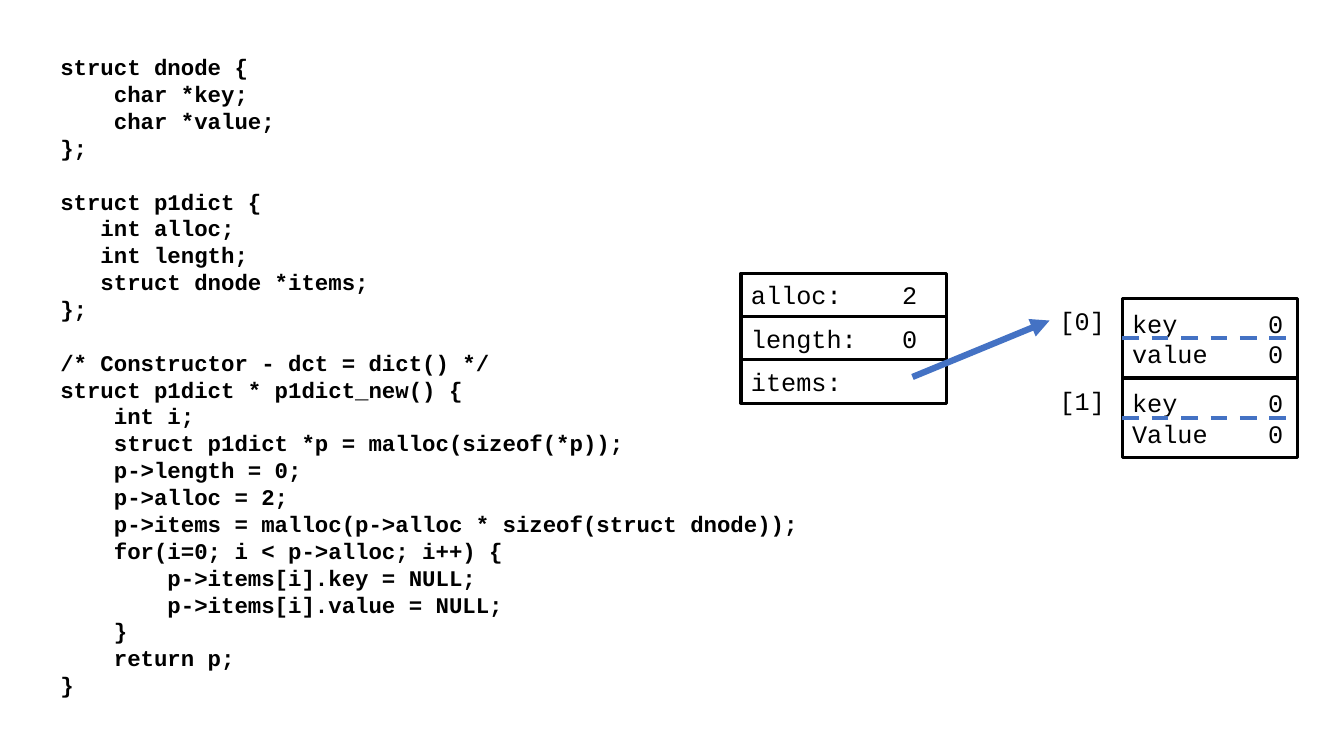
import pptx
import pptx.util
import pptx.dml.color
import pptx.enum.dml
import pptx.enum.shapes
import pptx.enum.text
import pptx.oxml
import pptx.oxml.ns
import lxml.etree

Inches = pptx.util.Inches
Pt = pptx.util.Pt
COLORS = {"ink": "000000", "blue": "4472C4"}
FONT = "Courier New"
CODE = """struct dnode {
    char *key;
    char *value;
};

struct p1dict {
   int alloc;
   int length;
   struct dnode *items;
};

/* Constructor - dct = dict() */
struct p1dict * p1dict_new() {
    int i;
    struct p1dict *p = malloc(sizeof(*p));
    p->length = 0;
    p->alloc = 2;
    p->items = malloc(p->alloc * sizeof(struct dnode));
    for(i=0; i < p->alloc; i++) {
        p->items[i].key = NULL;
        p->items[i].value = NULL;
    }
    return p;
}"""


def color(name):
    return pptx.dml.color.RGBColor.from_string(COLORS[name])


def add_xml(parent, tag, **attrs):
    node = lxml.etree.SubElement(parent, pptx.oxml.ns.qn(tag))
    for key, value in attrs.items():
        node.set(key, value)
    return node


def style(para, size, bold=False):
    para.alignment = pptx.enum.text.PP_ALIGN.LEFT
    for run in para.runs:
        run.font.name = FONT
        run.font.size = Pt(size)
        run.font.bold = bold
        run.font.color.rgb = color("ink")


def add_text(slide, text, left, top, width, height, size, bold=False):
    box = slide.shapes.add_textbox(Inches(left), Inches(top), Inches(width), Inches(height))
    frame = box.text_frame
    frame.word_wrap = True
    frame.auto_size = pptx.enum.text.MSO_AUTO_SIZE.SHAPE_TO_FIT_TEXT
    frame.text = text
    for para in frame.paragraphs:
        style(para, size, bold)
    return box


def add_code(slide):
    blocks = [block.split("\n") for block in CODE.split("\n\n")]
    lines = [line for block in blocks for line in block]
    box = add_text(slide, "\n".join(lines), 0.5, 0.48, 7.83, 6.56, 16, True)
    start = 0
    for block in blocks[:-1]:
        start += len(block)
        box.text_frame.paragraphs[start].space_before = Pt(19.2)


def add_cell(slide, text, left, top, width, height, stop):
    rect = pptx.enum.shapes.MSO_SHAPE.RECTANGLE
    cell = slide.shapes.add_shape(rect, Inches(left), Inches(top), Inches(width), Inches(height))
    cell.shadow.inherit = False
    cell.fill.background()
    cell.line.color.rgb = color("ink")
    cell.line.width = Pt(2.25)
    frame = cell.text_frame
    frame.vertical_anchor = pptx.enum.text.MSO_ANCHOR.MIDDLE
    frame.text = text
    for para in frame.paragraphs:
        style(para, 18)
        if "\t" in para.text:
            tabs = add_xml(para._p.get_or_add_pPr(), "a:tabLst")
            add_xml(tabs, "a:tab", pos=str(Inches(stop)), algn="l")
    return cell


def add_line(slide, start, end, width):
    kind = pptx.enum.shapes.MSO_CONNECTOR.STRAIGHT
    ends = [Inches(value) for value in start + end]
    line = slide.shapes.add_connector(kind, *ends)
    line.line.color.rgb = color("blue")
    line.line.width = Pt(width)
    add_xml(line._element.spPr, "a:effectLst")
    return line


def add_node(slide, index, text):
    left, width, height = 11.13, 1.74, 0.79
    top = 2.96 + index * height
    cell = add_cell(slide, text, left, top, width, height, 1.35)
    label = add_text(slide, f"[{index}]", 10.41, top + 0.02, 1.11, 0.4, 18)
    mid = top + height / 2
    split = add_line(slide, (left, mid), (left + width, mid), 3)
    split.line.dash_style = pptx.enum.dml.MSO_LINE.DASH
    split.begin_connect(cell, 1)
    split.end_connect(cell, 3)
    return label


def main():
    deck = pptx.Presentation()
    deck.slide_width = Inches(13.33)
    deck.slide_height = Inches(7.5)
    slide = deck.slides.add_slide(deck.slide_layouts[6])
    add_code(slide)
    nodes = ["key\t0\nvalue\t0", "key\t0\nValue\t0"]
    labels = [add_node(slide, index, text) for index, text in enumerate(nodes)]
    for row, text in enumerate(["alloc:\t2", "length:\t0", "items:"]):
        add_cell(slide, text, 7.35, 2.71 + row * 0.43, 2.04, 0.43, 1.5)
    arrow = add_line(slide, (9.05, 3.74), (10.41, 3.18), 4.5)
    arrow.end_connect(labels[0], 1)
    add_xml(arrow.line._get_or_add_ln(), "a:tailEnd", type="triangle")
    deck.save("out.pptx")


if __name__ == "__main__":
    main()
